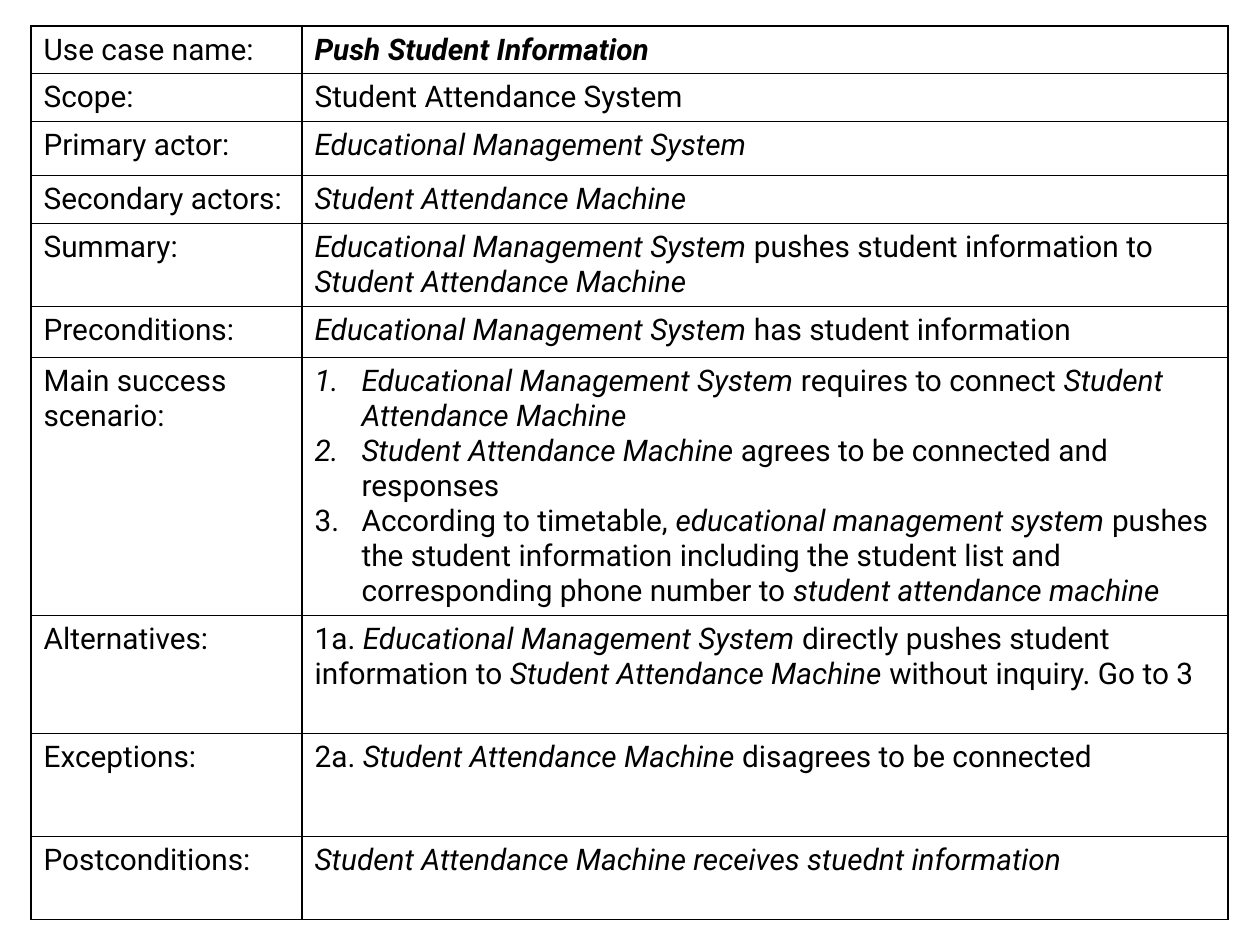
from lxml import etree
from pptx import Presentation
from pptx import util as u
from pptx.dml import color
from pptx.oxml import ns

SCALE = 914400 / 126
FONT = "Roboto"
COLORS = {"ink": "000000", "paper": "FFFFFF"}
COLUMNS = [271, 926]
EMS, SAM = "Educational Management System", "Student Attendance Machine"

# Each row: label, height, paragraphs of (text, style) runs.
USE_CASE = [
    ("Use case name:", 47, [[("Push Student Information", "bi")]]),
    ("Scope:", 48, [[("Student Attendance System", "")]]),
    ("Primary actor:", 54, [[(EMS, "i")]]),
    ("Secondary actors:", 47, [[(SAM, "i")]]),
    ("Summary:", 83, [[(EMS + " ", "i"), ("pushes student information to ", ""), (SAM, "i")]]),
    ("Preconditions:", 51, [[(EMS + " ", "i"), ("has student information", "")]]),
    ("Main success scenario:", 258, [
        [(EMS + " ", "i"), ("requires to connect ", ""), (SAM, "i")],
        [(SAM + " ", "i"), ("agrees to be connected and responses", "")],
        [("According to timetable, ", ""), (EMS.lower() + " ", "i"),
         ("pushes the student information including the student list and "
          "corresponding phone number to ", ""), (SAM.lower() + " ", "i")],
    ]),
    ("Alternatives:", 118, [[("1a. ", ""), (EMS + " ", "i"),
                             ("directly pushes student information to ", ""),
                             (SAM + " ", "i"), ("without inquiry. Go to 3", "")]]),
    ("Exceptions:", 103, [[("2a. ", ""), (SAM + " ", "i"), ("disagrees to be connected ", "")]]),
    ("Postconditions:", 83, [[(SAM + " receives stuednt information", "i")]]),
]


def px(length):
    return u.Emu(round(length * SCALE))


def add_runs(paragraph, runs):
    for words, style in runs:
        run = paragraph.add_run()
        run.text = words
        font = run.font
        font.name, font.size = FONT, u.Pt(17)
        font.bold, font.italic = "b" in style, "i" in style
        font.color.rgb = color.RGBColor.from_string(COLORS["ink"])


def number(paragraph):
    properties = paragraph._p.get_or_add_pPr()
    properties.set("marL", str(px(47)))
    properties.set("indent", str(-px(47)))
    etree.SubElement(properties, ns.qn("a:buFont"), typeface=FONT)
    etree.SubElement(properties, ns.qn("a:buAutoNum"), type="arabicPeriod")


def add_borders(cell):
    properties = cell._tc.get_or_add_tcPr()
    for position, side in enumerate(("lnL", "lnR", "lnT", "lnB")):
        line = etree.Element(ns.qn("a:" + side), w=str(u.Pt(1)))
        fill = etree.SubElement(line, ns.qn("a:solidFill"))
        etree.SubElement(fill, ns.qn("a:srgbClr"), val=COLORS["ink"])
        properties.insert(position, line)


def fill_cell(cell, paragraphs):
    cell.fill.solid()
    cell.fill.fore_color.rgb = color.RGBColor.from_string(COLORS["paper"])
    cell.margin_left = cell.margin_right = u.Inches(0.1)
    cell.margin_top = cell.margin_bottom = u.Inches(0.05)
    add_borders(cell)
    frame = cell.text_frame
    for index, runs in enumerate(paragraphs):
        paragraph = frame.add_paragraph() if index else frame.paragraphs[0]
        if len(paragraphs) > 1:
            number(paragraph)
        add_runs(paragraph, runs)


def add_use_case(slide, left, top, rows):
    height = sum(row[1] for row in rows)
    table = slide.shapes.add_table(len(rows), len(COLUMNS), px(left), px(top),
                                   px(sum(COLUMNS)), px(height)).table
    table.first_row = table.horz_banding = False
    for column, width in zip(table.columns, COLUMNS):
        column.width = px(width)
    for index, (label, row_height, paragraphs) in enumerate(rows):
        table.rows[index].height = px(row_height)
        fill_cell(table.cell(index, 0), [[(label, "")]])
        fill_cell(table.cell(index, 1), paragraphs)


presentation = Presentation()
presentation.slide_width, presentation.slide_height = px(1260), px(945)
slide = presentation.slides.add_slide(presentation.slide_layouts[6])
add_use_case(slide, 31, 26, USE_CASE)
presentation.save("out.pptx")
